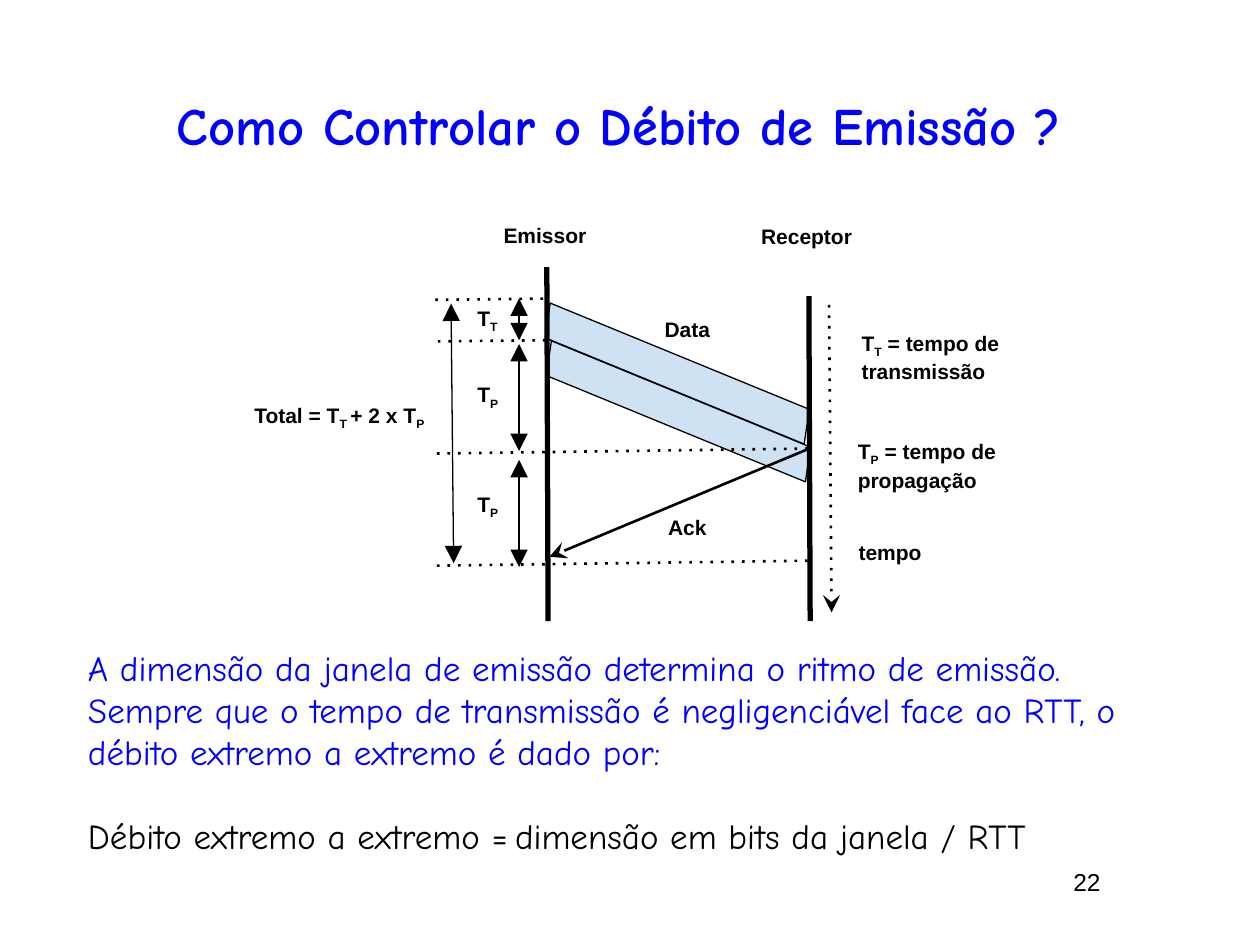
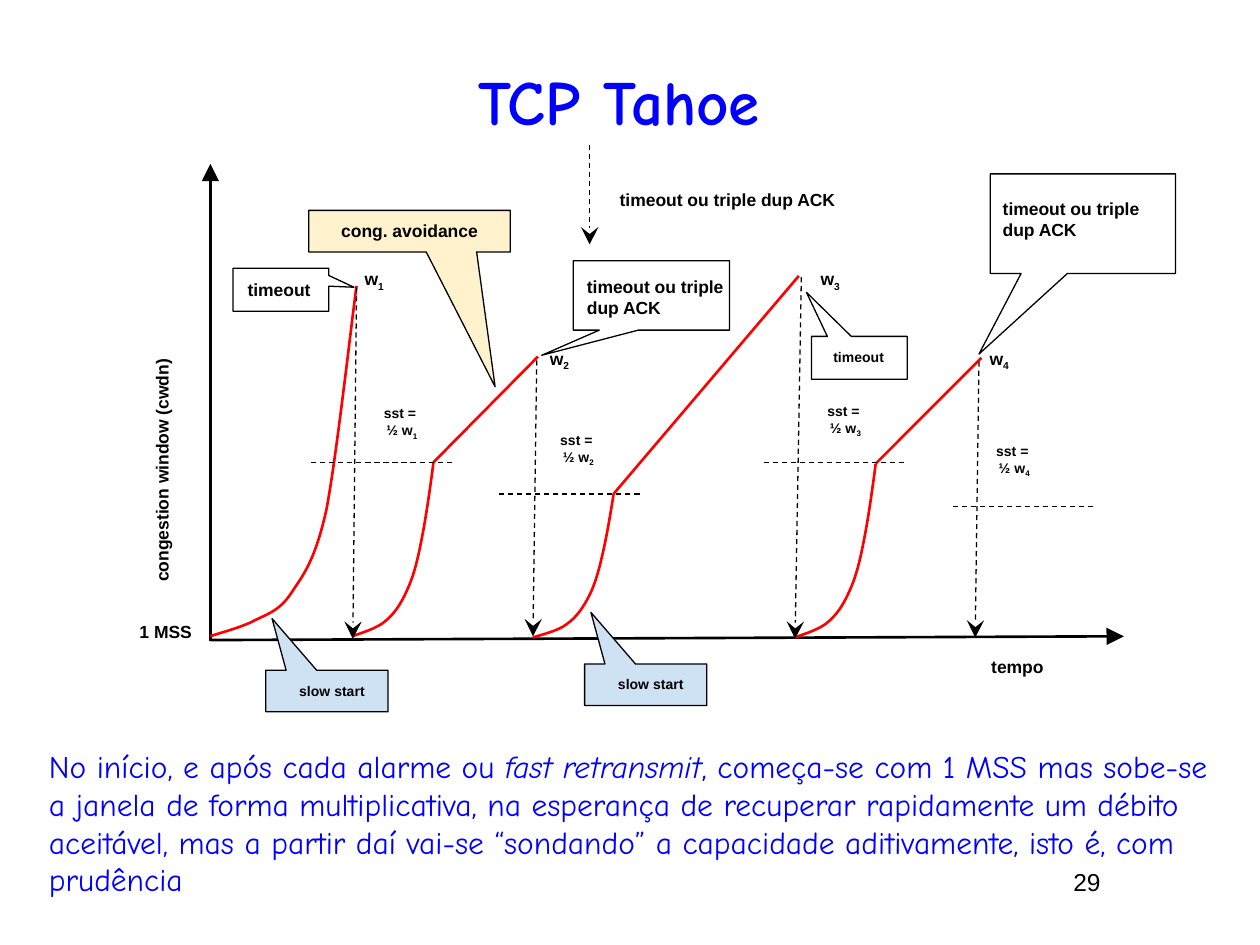
import lxml.etree
import pptx
import pptx.dml.color
import pptx.enum.shapes
import pptx.enum.text
import pptx.oxml.ns
import pptx.util

EMU_PER_PX = 9144
BLACK = pptx.dml.color.RGBColor(0x00, 0x00, 0x00)
BLUE = pptx.dml.color.RGBColor(0x00, 0x00, 0xFF)
RED = pptx.dml.color.RGBColor(0xFF, 0x00, 0x00)
PALE_BLUE = pptx.dml.color.RGBColor(0xCF, 0xE2, 0xF3)
CREAM = pptx.dml.color.RGBColor(0xFF, 0xF2, 0xCC)
LABEL_FONT = "Arial"
HAND_FONT = "Comic Neue"
CENTER = pptx.enum.text.PP_ALIGN.CENTER
LEFT = pptx.enum.text.PP_ALIGN.LEFT
MIDDLE = pptx.enum.text.MSO_ANCHOR.MIDDLE
TOP = pptx.enum.text.MSO_ANCHOR.TOP
SHAPES = pptx.enum.shapes.MSO_SHAPE

FIRST_START = [(0, 0), (5, 2), (21, 6), (32, 11), (43, 17), (54, 19), (64, 34),
               (74, 49), (83, 60), (92, 100), (100, 141), (112, 249), (116, 278)]
SLOW_START = [(0, 0), (4, 2), (20, 6), (27, 13), (35, 20), (40, 29), (45, 41),
              (50, 53), (53, 68), (56, 84), (59, 100), (63, 129), (64, 138)]


def px(length):
    return pptx.util.Emu(round(length * EMU_PER_PX))


class Deck:
    def __init__(self):
        self.presentation = pptx.Presentation()
        self.presentation.slide_width = px(1000)
        self.presentation.slide_height = px(750)
        self.slide = None

    def new_slide(self, number):
        self.slide = self.presentation.slides.add_slide(self.presentation.slide_layouts[6])
        self.text(842, 683, 100, 42, str(number), 14, bold=False, align=LEFT, anchor=TOP, inset=5)

    def title(self, height, words, size):
        self.text(33, 42, 917, height, words, size, font=HAND_FONT, color=BLUE)

    def body(self, left, top, width, height, words, size, marked):
        return self.text(left, top, width, height, words, size, font=HAND_FONT, color=BLUE,
                         bold=False, align=LEFT, anchor=TOP, inset=5, marked=marked)

    def text(self, left, top, width, height, words, size=12, font=LABEL_FONT, color=BLACK,
             bold=True, align=CENTER, anchor=MIDDLE, inset=10, rotation=0, marked=None):
        box = self.slide.shapes.add_textbox(px(left), px(top), px(width), px(height))
        box.rotation = rotation
        frame = box.text_frame
        frame.word_wrap = True
        frame.vertical_anchor = anchor
        frame.margin_left = frame.margin_right = px(10)
        frame.margin_top = frame.margin_bottom = px(inset)
        for i, line in enumerate(words.split("\n")):
            paragraph = frame.add_paragraph() if i else frame.paragraphs[0]
            paragraph.alignment = align
            paragraph.font.name = font
            paragraph.font.size = pptx.util.Pt(size)
            paragraph.font.bold = bold
            paragraph.font.color.rgb = color
            for j, part in enumerate(line.replace("}", "{").split("{")):
                if part:
                    run = paragraph.add_run()
                    run.text = part
                    if j % 2:
                        self.mark(run, marked)
        return frame.paragraphs

    def mark(self, run, marked):
        if marked is None:
            run.font._element.set("baseline", "-25000")
        else:
            for attribute, value in marked.items():
                setattr(run.font, attribute, value)

    def line(self, start, end, weight=0.75, color=BLACK, dash=None, head=None, tail=None):
        connector = self.slide.shapes.add_connector(
            pptx.enum.shapes.MSO_CONNECTOR.STRAIGHT, *map(px, start + end))
        connector.line.width = pptx.util.Pt(weight)
        connector.line.color.rgb = color
        properties = connector._element.spPr
        outline = properties.find(pptx.oxml.ns.qn("a:ln"))
        if dash:
            lxml.etree.SubElement(outline, pptx.oxml.ns.qn("a:prstDash"), val=dash)
        for tag, arrow in (("a:headEnd", head), ("a:tailEnd", tail)):
            if arrow:
                lxml.etree.SubElement(outline, pptx.oxml.ns.qn(tag), type=arrow, w="lg", len="lg")
        lxml.etree.SubElement(properties, pptx.oxml.ns.qn("a:effectLst"))

    def paint(self, shape, fill, color=BLACK, weight=0.75):
        shape.shadow.inherit = False
        if fill is None:
            shape.fill.background()
        else:
            shape.fill.solid()
            shape.fill.fore_color.rgb = fill
        shape.line.color.rgb = color
        shape.line.width = pptx.util.Pt(weight)

    def band(self, left, top):
        packet = self.slide.shapes.add_shape(SHAPES.PARALLELOGRAM, px(left), px(top), px(229), px(27))
        packet.adjustments[0] = 0.25
        packet.rotation = 22.3
        packet._element.spPr.xfrm.set("flipH", "1")
        self.paint(packet, PALE_BLUE)

    def callout(self, left, top, width, height, tip, fill=None):
        bubble = self.slide.shapes.add_shape(
            SHAPES.ROUNDED_RECTANGULAR_CALLOUT, px(left), px(top), px(width), px(height))
        bubble.adjustments[0] = (tip[0] - left) / width - 0.5
        bubble.adjustments[1] = (tip[1] - top) / height - 0.5
        bubble.adjustments[2] = 0
        self.paint(bubble, fill)

    def curve(self, left, bottom, knots, stretch=1):
        points = [(px(left + x), px(bottom - y * stretch)) for x, y in knots]
        builder = self.slide.shapes.build_freeform(*points[0], scale=1.0)
        builder.add_line_segments(points[1:], close=False)
        growth = builder.convert_to_shape()
        outline = next(growth._element.iter(pptx.oxml.ns.qn("a:path")))
        segments = outline.findall(pptx.oxml.ns.qn("a:lnTo"))
        for i in range(0, len(segments), 3):
            bezier = lxml.etree.SubElement(outline, pptx.oxml.ns.qn("a:cubicBezTo"))
            for segment in segments[i:i + 3]:
                bezier.append(segment[0])
                outline.remove(segment)
        self.paint(growth, None, RED, 1.5)


def build_flow_slide(deck):
    deck.new_slide(22)
    deck.title(114, "Como Controlar o Débito de Emissão ?", 30)
    deck.band(424, 313)
    for start, end in (((431, 237), (342, 238)), ((433, 270), (345, 271)),
                       ((641, 356), (343, 360)), ((641, 445), (343, 449))):
        deck.line(start, end, 1.5, dash="dot")
    deck.line((658, 242), (660, 486), 1.5, dash="dot", tail="stealth")
    deck.band(423, 283)
    deck.line((434, 212), (435, 493), 3)
    deck.line((642, 235), (643, 493), 3)
    for start, end in (((412, 237), (412, 270)), ((412, 273), (412, 358)),
                       ((412, 365), (412, 450)), ((358, 241), (360, 447))):
        deck.line(start, end, head="triangle", tail="triangle")
    deck.line((640, 357), (436, 442), 1.5, tail="stealth")

    deck.text(389, 149, 87, 75, "Emissor ")
    deck.text(584, 166, 117, 43, "Receptor ")
    deck.text(663, 417, 87, 43, "tempo")
    deck.text(502, 240, 87, 43, "Data")
    deck.text(502, 397, 87, 43, "Ack")
    for top, name in ((232, "T{T}"), (293, "T{P}"), (380, "T{P}")):
        deck.text(369, top, 43, 43, name, align=LEFT)
    deck.text(192, 293, 177, 75, "Total = T{T }+ 2 x T{P}", align=LEFT)
    deck.text(674, 256, 134, 55, "T{T} = tempo de\ntransmissão", align=LEFT)
    deck.text(671, 342, 134, 55, "T{P} = tempo de\npropagação", align=LEFT)

    explanation, formula = deck.body(
        60, 508, 890, 194,
        "A dimensão da janela de emissão determina o ritmo de emissão. Sempre que o tempo de "
        "transmissão é negligenciável face ao RTT, o débito extremo a extremo é dado por:\n"
        "Débito extremo a extremo ={ }dimensão em bits da janela / RTT",
        20, {"name": LABEL_FONT, "size": pptx.util.Pt(14)})
    formula.font.color.rgb = BLACK
    formula.space_before = pptx.util.Pt(24)


def build_tahoe_slide(deck):
    deck.new_slide(29)
    deck.title(75, "TCP Tahoe", 36)
    deck.line((167, 509), (167, 130), 1.5, tail="triangle")
    deck.line((167, 508), (892, 505), 1.5, tail="triangle")
    deck.text(741, 505, 133, 48, "tempo", 10)
    deck.text(-29, 278, 334, 53, "congestion window (cwdn)", 10, align=LEFT, anchor=TOP, rotation=270)
    deck.text(90, 479, 83, 45, "1 MSS", 10)

    deck.curve(167, 505, FIRST_START)
    for left, bottom, threshold, peak in ((280, 505, 367, (427, 283)),
                                          (423, 506, 392, (634, 219)),
                                          (631, 506, 368, (779, 284))):
        deck.curve(left, bottom, SLOW_START, (bottom - threshold) / 138)
        deck.line((left + 64, threshold), peak, 1.5, RED)
    for start, end in (((283, 228), (280, 507)), ((426, 286), (423, 505)), ((636, 220), (631, 507)),
                       ((777, 287), (774, 506)), ((468, 115), (468, 194))):
        deck.line(start, end, dash="dash", tail="stealth")
    for left, level in ((247, 367), (396, 392), (606, 367), (756, 402)):
        deck.line((left, level), (left + 114, level), dash="dash")

    for left, top, tip in ((211, 532, (216, 491)), (464, 527, (469, 486))):
        deck.callout(left, top, 97, 33, tip, PALE_BLUE)
        deck.text(left, top - 8, 105, 48, "slow start", 8)
    deck.callout(245, 167, 160, 33, (393, 307), CREAM)
    deck.text(241, 159, 168, 48, "cong. avoidance", 10)
    deck.callout(786, 138, 147, 79, (777, 281))
    deck.callout(455, 207, 124, 55, (430, 282))
    for left, top, width, height in ((786, 156, 147, 35), (456, 218, 147, 35), (482, 134, 203, 48)):
        deck.text(left, top, width, height, "timeout ou triple dup ACK", 10, align=LEFT)
    deck.callout(644, 267, 76, 34, (640, 232))
    deck.text(636, 259, 91, 48, "timeout", 8)
    deck.callout(185, 213, 76, 34, (281, 228))
    deck.text(176, 206, 91, 48, "timeout", 10)

    for i, (left, top) in enumerate(((269, 200), (416, 263), (631, 200), (765, 263)), 1):
        deck.text(left, top, 56, 45, f"w{{{i}}}", 10)
    for i, (left, top, width, height) in enumerate(((258, 313, 122, 45), (410, 334, 98, 45),
                                                    (622, 305, 98, 57), (747, 343, 116, 45)), 1):
        deck.text(left, top, width, height, f"sst = \n½ w{{{i}}}", 8)

    deck.body(29, 588, 942, 128,
              "No início, e após cada alarme ou {fast retransmit}, começa-se com 1 MSS mas sobe-se a "
              "janela de forma multiplicativa, na esperança de recuperar rapidamente um débito "
              "aceitável, mas a partir daí vai-se “sondando” a capacidade aditivamente, isto é, com "
              "prudência", 18, {"italic": True})


def main():
    deck = Deck()
    build_flow_slide(deck)
    build_tahoe_slide(deck)
    deck.presentation.save("out.pptx")


if __name__ == "__main__":
    main()
